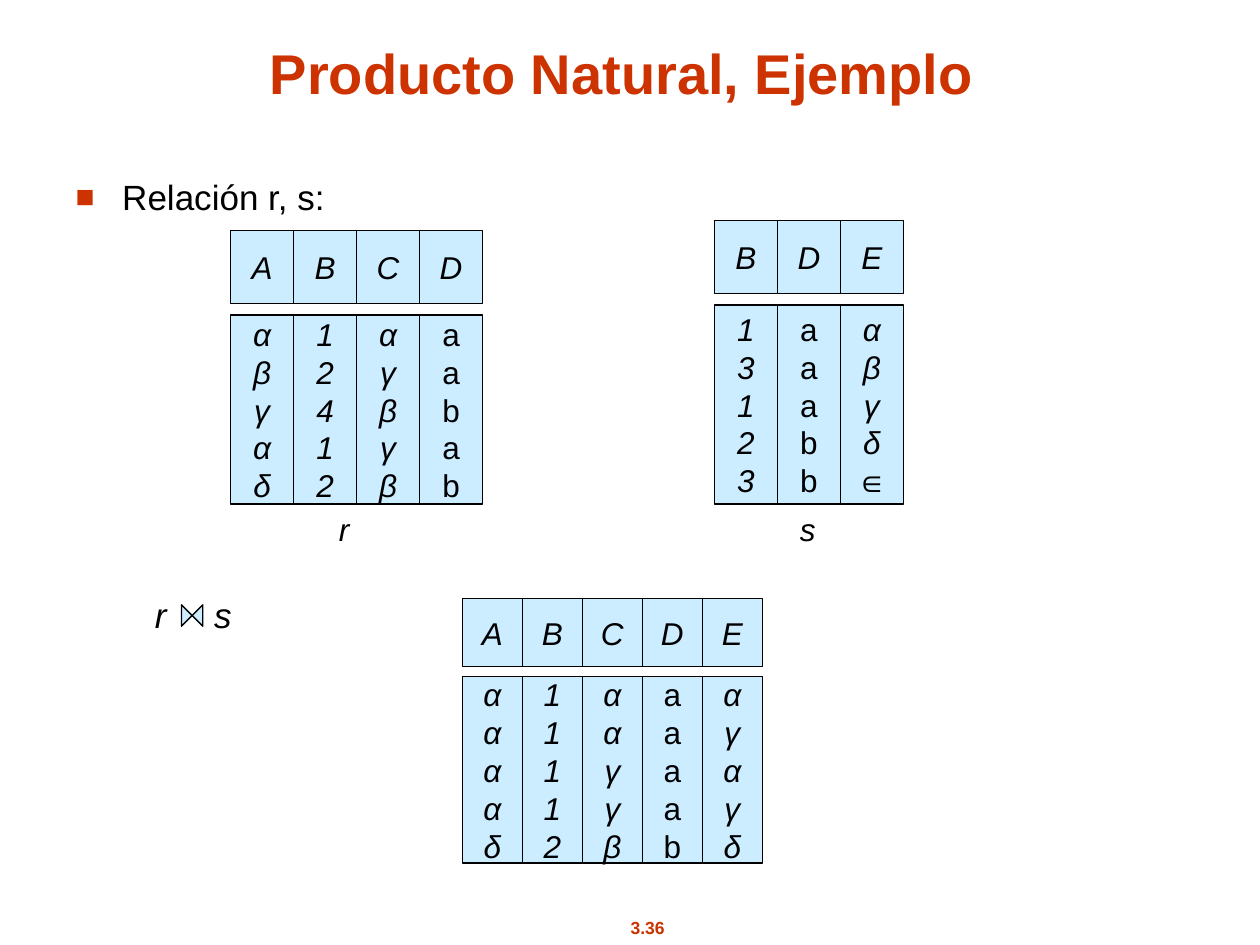
from dataclasses import dataclass

from lxml.etree import SubElement
from pptx import Presentation
from pptx.dml.color import RGBColor
from pptx.enum.shapes import MSO_SHAPE
from pptx.enum.text import MSO_ANCHOR, MSO_AUTO_SIZE, PP_ALIGN
from pptx.oxml.ns import qn
from pptx.util import Inches, Pt


@dataclass(frozen=True)
class Theme:
    font: str = "Arial"
    accent: str = "CC3300"
    ink: str = "000000"
    cell: str = "CCECFF"
    title_size: int = 32
    body_size: int = 20
    cell_size: int = 18
    number_size: int = 10


theme = Theme()


def write(shape, text, size=theme.cell_size, color=theme.ink, bold=False, italic=False,
          align=PP_ALIGN.CENTER, anchor=MSO_ANCHOR.MIDDLE, wrap=False, bullet=None, tab=None):
    frame = shape.text_frame
    frame.text = text
    frame.word_wrap = wrap
    frame.auto_size = MSO_AUTO_SIZE.NONE
    frame.vertical_anchor = anchor
    frame.margin_left = frame.margin_right = Inches(0.1)
    frame.margin_top = frame.margin_bottom = Inches(0.05)
    for paragraph in frame.paragraphs:
        paragraph.alignment = align
        paragraph.space_before = Pt(0)
        properties = paragraph._p.get_or_add_pPr()
        if bullet:
            properties.set("marL", str(Inches(0.37)))
            properties.set("indent", str(-Inches(0.37)))
            bullet_color = SubElement(properties, qn("a:buClr"))
            SubElement(bullet_color, qn("a:srgbClr"), val=theme.accent)
            SubElement(properties, qn("a:buSzPct"), val="90000")
            SubElement(properties, qn("a:buFont"), typeface=theme.font)
            SubElement(properties, qn("a:buChar"), char=bullet)
        if tab:
            tab_list = SubElement(properties, qn("a:tabLst"))
            SubElement(tab_list, qn("a:tab"), pos=str(Inches(tab)), algn="l")
        for run in paragraph.runs:
            run.font.name = theme.font
            run.font.size = Pt(size)
            run.font.bold = bold
            run.font.italic = italic
            run.font.color.rgb = RGBColor.from_string(color)


def add_box(kind, left, top, width, height):
    shape = slide.shapes.add_shape(kind, Inches(left), Inches(top), Inches(width), Inches(height))
    shape.shadow.inherit = False
    shape.fill.solid()
    shape.fill.fore_color.rgb = RGBColor.from_string(theme.cell)
    shape.line.color.rgb = RGBColor.from_string(theme.ink)
    shape.line.width = Pt(0.75)
    return shape


presentation = Presentation()
presentation.slide_width = Inches(10)
presentation.slide_height = Inches(7.5)
slide = presentation.slides.add_slide(presentation.slide_layouts[1])

title = slide.shapes.title
title.left, title.top, title.width, title.height = map(Inches, (0.52, 0.22, 8.83, 0.67))
write(title, "Producto Natural, Ejemplo", size=theme.title_size, color=theme.accent,
      bold=True, anchor=MSO_ANCHOR.BOTTOM, wrap=True)

body = slide.placeholders[1]
body.left, body.top, body.width, body.height = map(Inches, (0.5, 1.33, 7.69, 0.45))
write(body, "Relación r, s:", size=theme.body_size, align=PP_ALIGN.LEFT,
      anchor=MSO_ANCHOR.BOTTOM, wrap=True, bullet="■")

relations = [
    (1.83, 1.83, 0.5, 0.58, 2.5, 1.5,
     {"A": "αβγαδ", "B": "12412", "C": "αγβγβ", "D": "aabab"}),
    (5.67, 1.75, 0.5, 0.58, 2.42, 1.58,
     {"B": "13123", "D": "aaabb", "E": "αβγδ∈"}),
    (3.67, 4.75, 0.476, 0.54, 5.37, 1.48,
     {"A": "ααααδ", "B": "11112", "C": "ααγγβ", "D": "aaaab", "E": "αγαγδ"}),
]
for left, head_top, width, head_height, rows_top, rows_height, columns in relations:
    for index, (name, values) in enumerate(columns.items()):
        column_left = left + index * width
        head = add_box(MSO_SHAPE.RECTANGLE, column_left, head_top, width, head_height)
        write(head, name, italic=True)
        rows = add_box(MSO_SHAPE.RECTANGLE, column_left, rows_top, width, rows_height)
        write(rows, "\n".join(values), italic=name != "D")

labels = [
    ("r", (2.59, 4, 0.28, 0.4), dict(italic=True)),
    ("s", (6.25, 4, 0.32, 0.4), dict(italic=True)),
    ("r\ts", (1.13, 4.64, 7.69, 0.45),
     dict(size=theme.body_size, italic=True, align=PP_ALIGN.LEFT,
          anchor=MSO_ANCHOR.BOTTOM, wrap=True, tab=0.47)),
    ("3.36", (4.65, 7.23, 0.98, 0.27),
     dict(size=theme.number_size, color=theme.accent, bold=True)),
]
for text, position, text_format in labels:
    write(slide.shapes.add_textbox(*map(Inches, position)), text, **text_format)

join_symbol = add_box(MSO_SHAPE.FLOWCHART_COLLATE, 1.44, 4.8, 0.17, 0.17)
join_symbol.rotation = 270

presentation.save("out.pptx")
